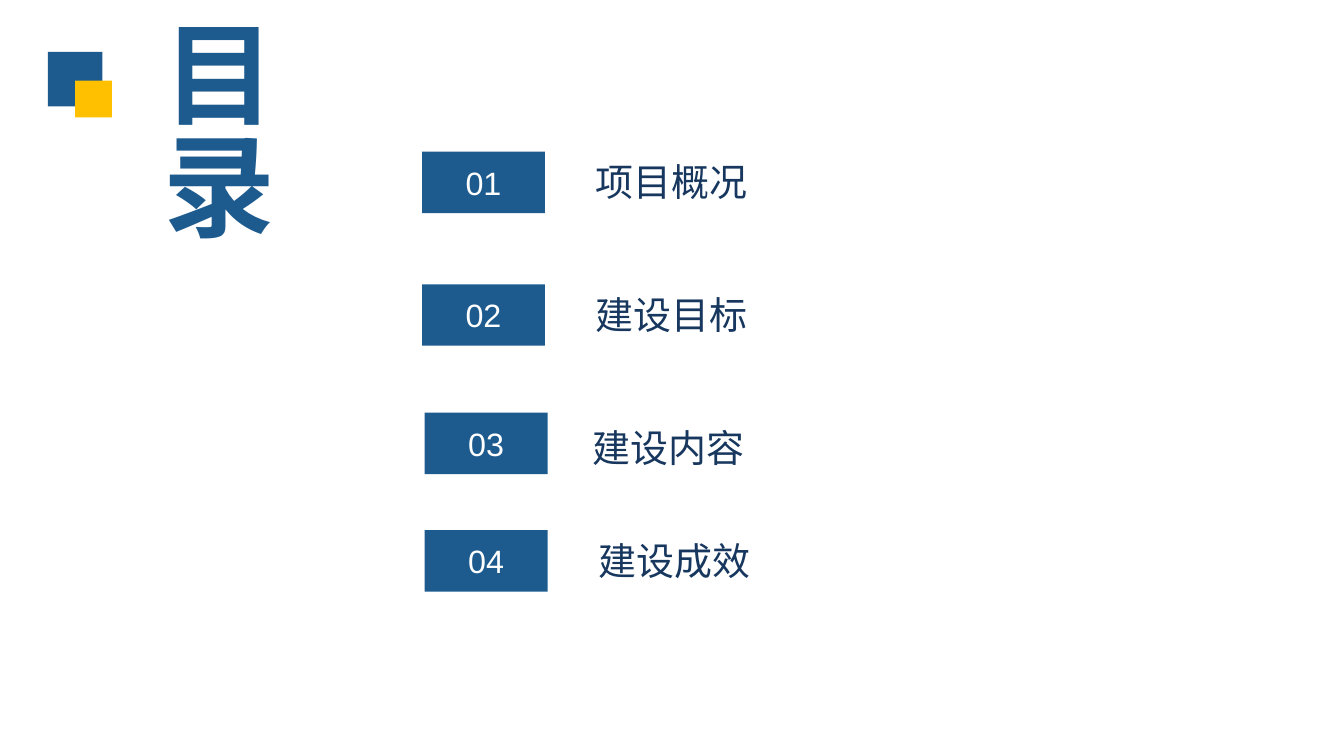
"""Build a contents slide with four numbered sections."""
import lxml.etree
import pptx
import pptx.dml.color
import pptx.enum.shapes
import pptx.enum.text
import pptx.oxml.ns
import pptx.util

Inches = pptx.util.Inches
ALIGN = pptx.enum.text.PP_ALIGN
FONT = "Arial"
BLUE, GOLD, NAVY, WHITE = "1D5B8F", "FFC000", "17375E", "FFFFFF"

HEADING = "目录"
EMBLEM = [(0.35, 0.38, 0.4, BLUE), (0.55, 0.59, 0.27, GOLD)]
SECTIONS = [
    ("项目概况", (3.09, 1.11), (4.36, 1.16)),
    ("建设目标", (3.09, 2.08), (4.36, 2.13)),
    ("建设内容", (3.11, 3.02), (4.34, 3.1)),
    ("建设成效", (3.11, 3.88), (4.38, 3.93)),
]
BADGE_SIZE = (0.9, 0.45)
LABEL_SIZE = (3.62, 0.34)


def color(value):
    return pptx.dml.color.RGBColor.from_string(value)


def add_rectangle(page, left, top, width, height, fill):
    box = page.shapes.add_shape(
        pptx.enum.shapes.MSO_SHAPE.RECTANGLE,
        Inches(left), Inches(top), Inches(width), Inches(height))
    box.shadow.inherit = False
    box.fill.solid()
    box.fill.fore_color.rgb = color(fill)
    box.line.fill.background()
    return box


def write(box, text, size, ink, align=ALIGN.LEFT, bold=False, vertical=None):
    frame = box.text_frame
    frame.margin_left = frame.margin_right = frame.margin_top = frame.margin_bottom = 0
    frame.word_wrap = True
    frame.auto_size = pptx.enum.text.MSO_AUTO_SIZE.NONE
    frame.vertical_anchor = pptx.enum.text.MSO_ANCHOR.MIDDLE
    if vertical:
        box.element.txBody.bodyPr.set("vert", vertical)
    para = frame.paragraphs[0]
    para.alignment = align
    span = para.add_run()
    span.text = text
    span.font.size = pptx.util.Pt(size)
    span.font.bold = bold
    span.font.color.rgb = color(ink)
    span.font.name = FONT
    east_asian = lxml.etree.SubElement(span.font.element if hasattr(span.font, "element")
                                       else span.font._element, pptx.oxml.ns.qn("a:ea"))
    east_asian.set("typeface", FONT)


deck = pptx.Presentation()
deck.slide_width, deck.slide_height = Inches(9.84), Inches(5.51)
page = deck.slides.add_slide(deck.slide_layouts.get_by_name("Title Only"))

for left, top, side, fill in EMBLEM:
    add_rectangle(page, left, top, side, side, fill)

heading = page.shapes.title
heading.left, heading.top = Inches(1.08), Inches(0.13)
heading.width, heading.height = Inches(0.99), Inches(2.89)
write(heading, HEADING, 59, BLUE, bold=True, vertical="eaVert")

for number, (name, badge_at, label_at) in enumerate(SECTIONS, 1):
    badge = add_rectangle(page, *badge_at, *BADGE_SIZE, BLUE)
    write(badge, f"{number:02d}", 17, WHITE, align=ALIGN.CENTER)
    label = page.shapes.add_textbox(*map(Inches, label_at + LABEL_SIZE))
    write(label, name, 20, NAVY)

deck.save("out.pptx")
